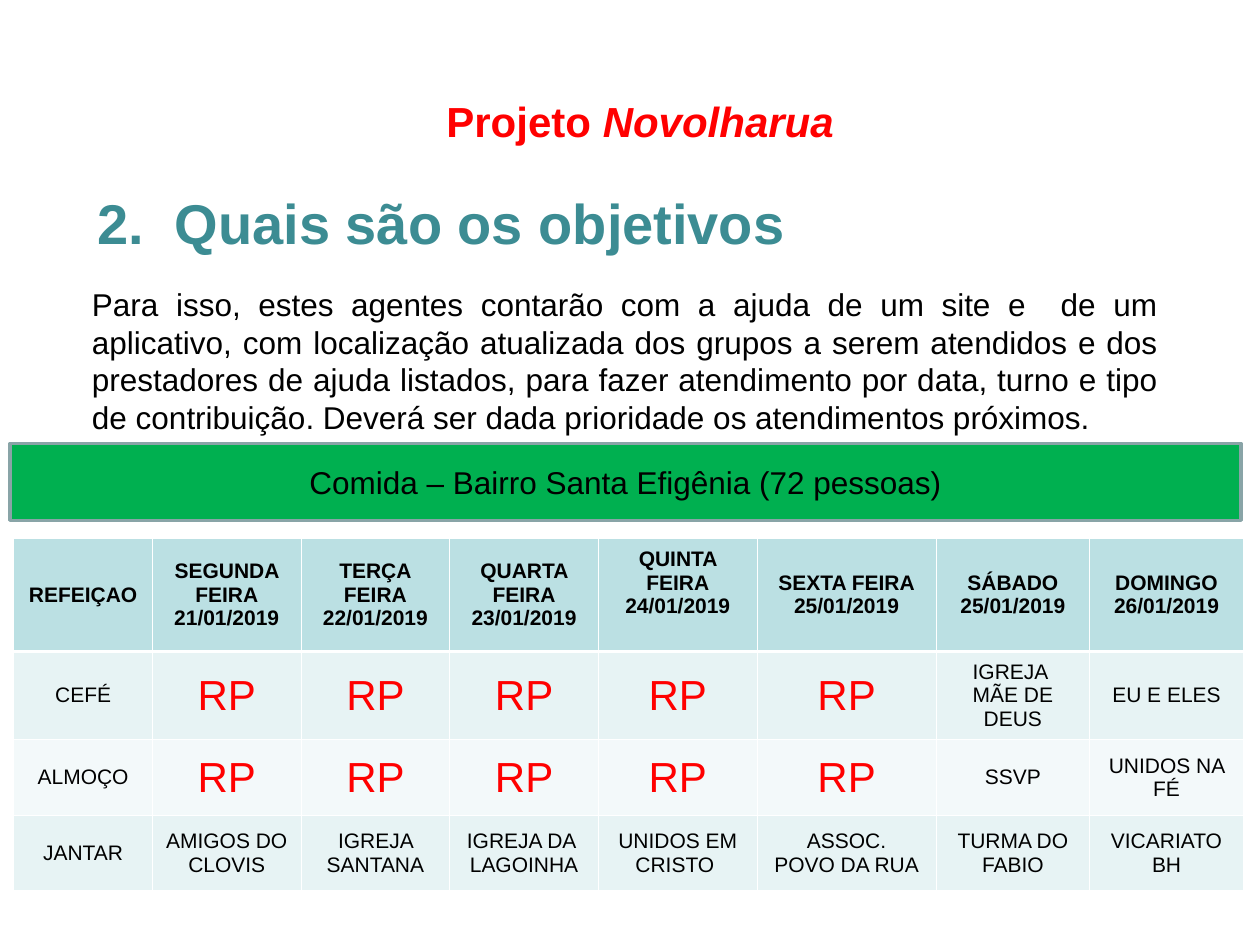
from lxml import etree
from pptx import Presentation
from pptx import util as u
from pptx.dml.color import RGBColor
from pptx.enum import shapes, text
from pptx.oxml import ns

RED = RGBColor(0xFF, 0x00, 0x00)
TEAL = RGBColor(0x3C, 0x8C, 0x93)
BLACK = RGBColor(0x00, 0x00, 0x00)
GREEN = RGBColor(0x00, 0xB0, 0x50)
GREY = RGBColor(0x89, 0xA4, 0xA7)
WHITE = RGBColor(0xFF, 0xFF, 0xFF)
HEADER_FILL = RGBColor(0xBB, 0xE0, 0xE3)
BAND_FILLS = RGBColor(0xE7, 0xF3, 0xF4), RGBColor(0xF3, 0xF9, 0xFA)

PROJECT = [("Projeto ", False), ("Novolharua", True)]
HEADING = "2.  Quais são os objetivos"
EXPLANATION = (
    "Para isso, estes agentes contarão com a ajuda de um site e  de um aplicativo, "
    "com localização atualizada dos grupos a serem atendidos e dos prestadores de "
    "ajuda listados, para fazer atendimento por data, turno e tipo de contribuição. "
    "Deverá ser dada prioridade os atendimentos próximos."
)
BANNER = "Comida – Bairro Santa Efigênia (72 pessoas)"
PUBLIC = "RP"
DAYS = [
    ["REFEIÇAO"],
    ["SEGUNDA FEIRA", "21/01/2019"],
    ["TERÇA\nFEIRA", "22/01/2019"],
    ["QUARTA FEIRA", "23/01/2019"],
    ["QUINTA FEIRA", "24/01/2019"],
    ["SEXTA FEIRA", "25/01/2019"],
    ["SÁBADO 25/01/2019"],
    ["DOMINGO", "26/01/2019"],
]
MEALS = [
    [["CEFÉ"], *[[PUBLIC]] * 5, ["IGREJA \nMÃE DE DEUS"], ["EU E ELES"]],
    [["ALMOÇO"], *[[PUBLIC]] * 5, ["SSVP"], ["UNIDOS NA FÉ"]],
    [["JANTAR"], ["AMIGOS DO CLOVIS"], ["IGREJA SANTANA"], ["IGREJA DA  LAGOINHA"],
     ["UNIDOS EM CRISTO "], ["ASSOC.", "POVO DA RUA"], ["TURMA DO FABIO"],
     ["VICARIATO BH"]],
]
COLUMN_WIDTHS = [1.1, 1.18, 1.18, 1.18, 1.26, 1.42, 1.22, 1.22]
ROW_HEIGHTS = [0.9, 0.7, 0.6, 0.6]
THURSDAY = 4
THIN, THICK = 0.45, 1.5


def add_span(para, words, size, color, bold=False, italic=False):
    for index, line in enumerate(words.split("\n")):
        if index:
            para.add_line_break()
        span = para.add_run()
        span.text = line
        font = span.font
        font.name, font.size, font.color.rgb = "Arial", u.Pt(size), color
        font.bold, font.italic = bold, italic


def place(box, left, top, width, height):
    box.left, box.top = u.Inches(left), u.Inches(top)
    box.width, box.height = u.Inches(width), u.Inches(height)
    frame = box.text_frame
    frame.word_wrap = True
    frame.auto_size = text.MSO_AUTO_SIZE.NONE
    frame.vertical_anchor = text.MSO_ANCHOR.TOP
    return frame


def set_borders(cell, top, bottom):
    props = cell._tc.get_or_add_tcPr()
    sides = [("lnL", THIN), ("lnR", THIN), ("lnT", top), ("lnB", bottom)]
    for index, (side, width) in enumerate(sides):
        line = etree.Element(ns.qn("a:" + side), w=str(u.Pt(width)))
        fill = etree.SubElement(line, ns.qn("a:solidFill"))
        etree.SubElement(fill, ns.qn("a:srgbClr"), val=str(WHITE))
        props.insert(index, line)


def add_titles(page):
    frame = place(page.shapes.title, 0.67, 0.68, 8.82, 1.94)
    frame.margin_top = u.Inches(0.08)
    para = frame.paragraphs[0]
    para.alignment = text.PP_ALIGN.CENTER
    for words, italic in PROJECT:
        add_span(para, words, 24, RED, bold=True, italic=italic)
    para = frame.add_paragraph()
    para.alignment = text.PP_ALIGN.LEFT
    para.space_before = u.Pt(24)
    add_span(para, HEADING, 32, TEAL, bold=True)


def add_explanation(page):
    para = place(page.placeholders[1], 0.63, 2.21, 8.66, 1.3).paragraphs[0]
    props = para._p.get_or_add_pPr()
    props.set("marL", "0")
    props.set("indent", "0")
    etree.SubElement(props, ns.qn("a:buNone"))
    para.alignment = text.PP_ALIGN.JUSTIFY
    para.space_before = u.Pt(0)
    add_span(para, EXPLANATION, 18, BLACK)


def fill_cell(cell, lines, row, column):
    header = row == 0
    cell.fill.solid()
    cell.fill.fore_color.rgb = HEADER_FILL if header else BAND_FILLS[(row - 1) % 2]
    cell.vertical_anchor = text.MSO_ANCHOR.MIDDLE
    if header and column == THURSDAY:
        cell.margin_bottom = u.Inches(0.24)
    set_borders(cell, THICK if row == 1 else THIN, THICK if header else THIN)
    size, color = (24, RED) if lines == [PUBLIC] else (12, BLACK)
    frame = cell.text_frame
    for index, line in enumerate(lines):
        para = frame.add_paragraph() if index else frame.paragraphs[0]
        para.alignment = text.PP_ALIGN.CENTER
        add_span(para, line, size, color, bold=header)


def add_schedule(page):
    rows = [DAYS, *MEALS]
    table = page.shapes.add_table(
        len(rows), len(DAYS), u.Inches(0.11), u.Inches(4.27),
        u.Inches(sum(COLUMN_WIDTHS)), u.Inches(sum(ROW_HEIGHTS))).table
    for column, width in zip(table.columns, COLUMN_WIDTHS):
        column.width = u.Inches(width)
    for row, height in zip(table.rows, ROW_HEIGHTS):
        row.height = u.Inches(height)
    for row, cells in enumerate(rows):
        for column, lines in enumerate(cells):
            fill_cell(table.cell(row, column), lines, row, column)


def add_banner(page):
    box = page.shapes.add_shape(shapes.MSO_SHAPE.RECTANGLE, 0, 0, 0, 0)
    frame = place(box, 0.08, 3.52, 9.77, 0.61)
    frame.vertical_anchor = text.MSO_ANCHOR.MIDDLE
    box.shadow.inherit = False
    box.fill.solid()
    box.fill.fore_color.rgb = GREEN
    box.line.color.rgb = GREY
    box.line.width = u.Pt(2)
    para = frame.paragraphs[0]
    para.alignment = text.PP_ALIGN.CENTER
    add_span(para, BANNER, 18, BLACK)


def main():
    deck = Presentation()
    deck.slide_width, deck.slide_height = u.Inches(10), u.Inches(7.5)
    page = deck.slides.add_slide(deck.slide_layouts[1])
    add_titles(page)
    add_explanation(page)
    add_schedule(page)
    add_banner(page)
    deck.save("out.pptx")


if __name__ == "__main__":
    main()
